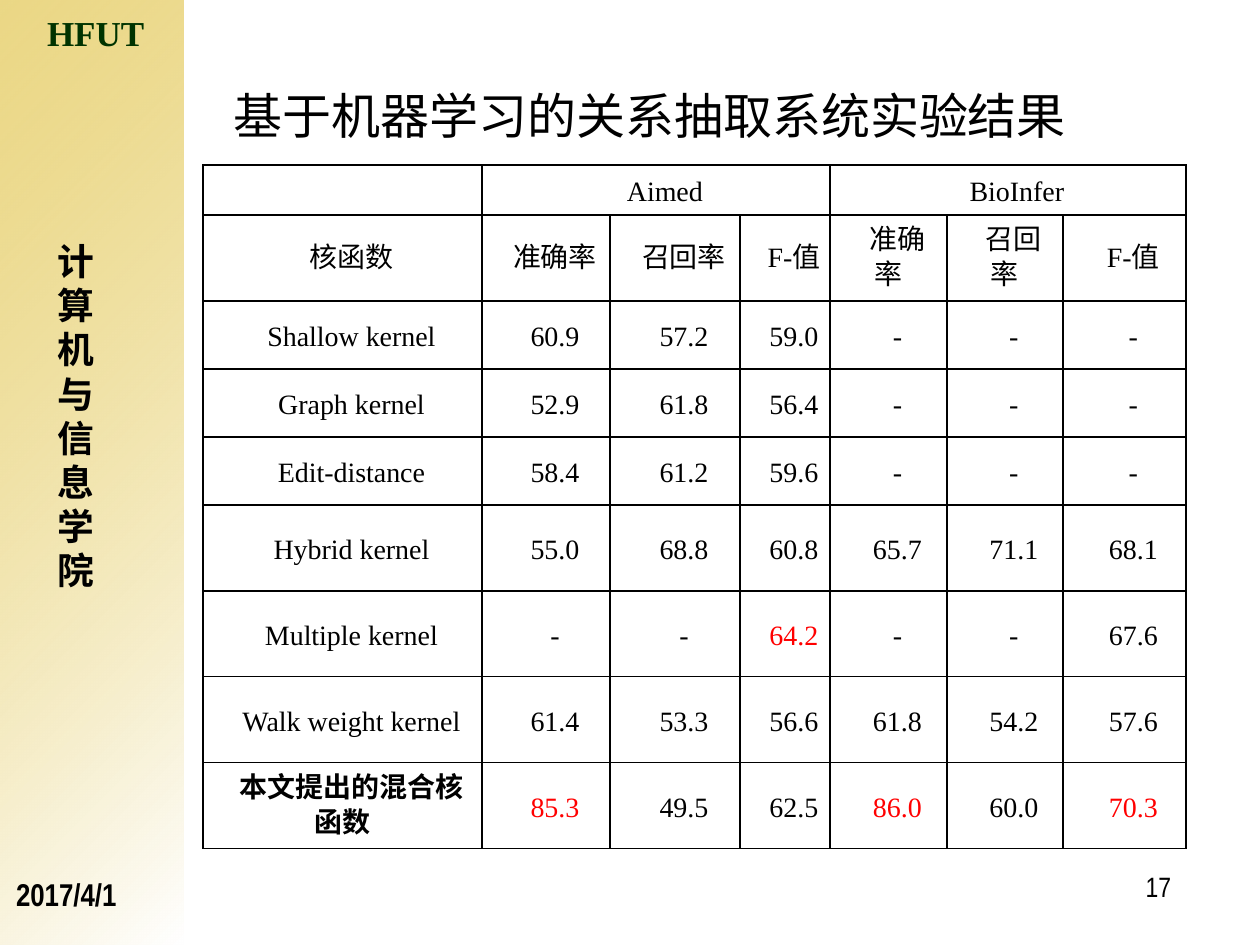
from lxml.etree import SubElement
from pptx import Presentation
from pptx.dml.color import RGBColor
from pptx.enum.shapes import MSO_SHAPE
from pptx.enum.text import MSO_ANCHOR, PP_ALIGN
from pptx.oxml.ns import qn
from pptx.util import Emu, Pt

COLORS = {"black": "000000", "white": "FFFFFF", "gold": "DFBF39", "green": "003300", "red": "FF0000"}
SERIF, NARROW, CHINESE = "Times New Roman", "Arial Narrow", "Noto Sans CJK SC"

RESULTS = [
    ["", "Aimed", "", "", "BioInfer", "", ""],
    ["核函数"] + ["准确率", "召回率", "F-值"] * 2,
    ["Shallow kernel", "60.9", "57.2", "59.0", "-", "-", "-"],
    ["Graph kernel", "52.9", "61.8", "56.4", "-", "-", "-"],
    ["Edit-distance", "58.4", "61.2", "59.6", "-", "-", "-"],
    ["Hybrid kernel", "55.0", "68.8", "60.8", "65.7", "71.1", "68.1"],
    ["Multiple kernel", "-", "-", "64.2", "-", "-", "67.6"],
    ["Walk weight kernel", "61.4", "53.3", "56.6", "61.8", "54.2", "57.6"],
    ["本文提出的混合核函数", "85.3", "49.5", "62.5", "86.0", "60.0", "70.3"],
]
BEST_SCORES = {"64.2", "85.3", "86.0", "70.3"}
COLUMN_WIDTHS = [279, 128, 130, 90, 117, 116, 123]
ROW_HEIGHTS = [50, 86] + [68] * 3 + [86] * 4


def px(length):
    return Emu(round(length * 914400 / 126))


def rgb(name):
    return RGBColor.from_string(COLORS[name])


class SlideBuilder:
    def __init__(self, slide):
        self.slide = slide

    def style(self, paragraph, size, font=SERIF, color="black", bold=False, align=PP_ALIGN.LEFT):
        paragraph.alignment = align
        paragraph.font.size = Pt(size)
        paragraph.font.name = font
        paragraph.font.bold = bold
        paragraph.font.color.rgb = rgb(color)
        properties = paragraph._p.pPr.find(qn("a:defRPr"))
        SubElement(properties, qn("a:ea")).set("typeface", CHINESE)

    def gradient_panel(self, left, top, width, height):
        shape = self.slide.shapes.add_shape(MSO_SHAPE.RECTANGLE, px(left), px(top), px(width), px(height))
        shape.shadow.inherit = False
        shape.line.fill.background()
        shape.fill.gradient()
        shape.fill.gradient_angle = 315
        for stop, name in zip(shape.fill.gradient_stops, ("gold", "white")):
            stop.color.rgb = rgb(name)
        first_color = shape._element.spPr.find(".//" + qn("a:srgbClr"))
        SubElement(first_color, qn("a:alpha")).set("val", "61000")

    def text(self, text, left, top, width, height, size, inset=11, anchor=MSO_ANCHOR.TOP,
             spacing=None, **style):
        shape = self.slide.shapes.add_textbox(px(left), px(top), px(width), px(height))
        frame = shape.text_frame
        frame.word_wrap = True
        frame.vertical_anchor = anchor
        frame.margin_left = px(inset)
        frame.margin_right = px(11)
        frame.margin_top = frame.margin_bottom = px(6)
        paragraph = frame.paragraphs[0]
        paragraph.text = text
        paragraph.line_spacing = spacing
        self.style(paragraph, size, **style)

    def borders(self, cell):
        properties = cell._tc.get_or_add_tcPr()
        for position, side in enumerate(("lnL", "lnR", "lnT", "lnB")):
            line = properties.makeelement(qn("a:" + side), {"w": str(Pt(1))})
            properties.insert(position, line)
            fill = SubElement(line, qn("a:solidFill"))
            SubElement(fill, qn("a:srgbClr")).set("val", COLORS["black"])

    def cell(self, cell, text, bold):
        cell.fill.background()
        self.borders(cell)
        cell.vertical_anchor = MSO_ANCHOR.MIDDLE
        cell.margin_left = cell.margin_right = px(9)
        cell.margin_top = cell.margin_bottom = 0
        paragraph = cell.text_frame.paragraphs[0]
        paragraph.text = text
        paragraph.line_spacing = Pt(20)
        properties = paragraph._p.get_or_add_pPr()
        properties.set("marL", "0")
        properties.set("indent", str(px(18)))
        color = "red" if text in BEST_SCORES else "black"
        self.style(paragraph, 16, color=color, bold=bold, align=PP_ALIGN.CENTER)

    def table(self, rows, left, top, widths, heights):
        frame = self.slide.shapes.add_table(len(rows), len(widths), px(left), px(top),
                                            px(sum(widths)), px(sum(heights)))
        table = frame.table
        table.first_row = table.horz_banding = False
        for column, width in zip(table.columns, widths):
            column.width = px(width)
        for row, height in zip(table.rows, heights):
            row.height = px(height)
        for r, values in enumerate(rows):
            for c, value in enumerate(values):
                self.cell(table.cell(r, c), value, bold=r == len(rows) - 1 and c == 0)
        for start in (1, 4):
            table.cell(0, start).merge(table.cell(0, start + 2))


def main():
    presentation = Presentation()
    presentation.slide_width, presentation.slide_height = px(1260), px(945)
    builder = SlideBuilder(presentation.slides.add_slide(presentation.slide_layouts[6]))
    builder.gradient_panel(0, 0, 184, 945)
    builder.text("HFUT", 10, 6, 193, 53, 20, inset=37, color="green", bold=True)
    builder.text("基于机器学习的关系抽取系统实验结果", 221, 60, 1037, 118, 28, inset=13,
                 anchor=MSO_ANCHOR.MIDDLE, spacing=0.9, font=CHINESE)
    builder.table(RESULTS, 203, 165, COLUMN_WIDTHS, ROW_HEIGHTS)
    builder.text("2017/4/1", 5, 869, 168, 63, 18, font=NARROW, bold=True)
    builder.text("17", 898, 864, 284, 63, 16, font=NARROW, align=PP_ALIGN.RIGHT)
    builder.text("计算机与信息学院", 45, 233, 49, 365, 21, inset=13, bold=True, align=PP_ALIGN.CENTER)
    presentation.save("out.pptx")


if __name__ == "__main__":
    main()
